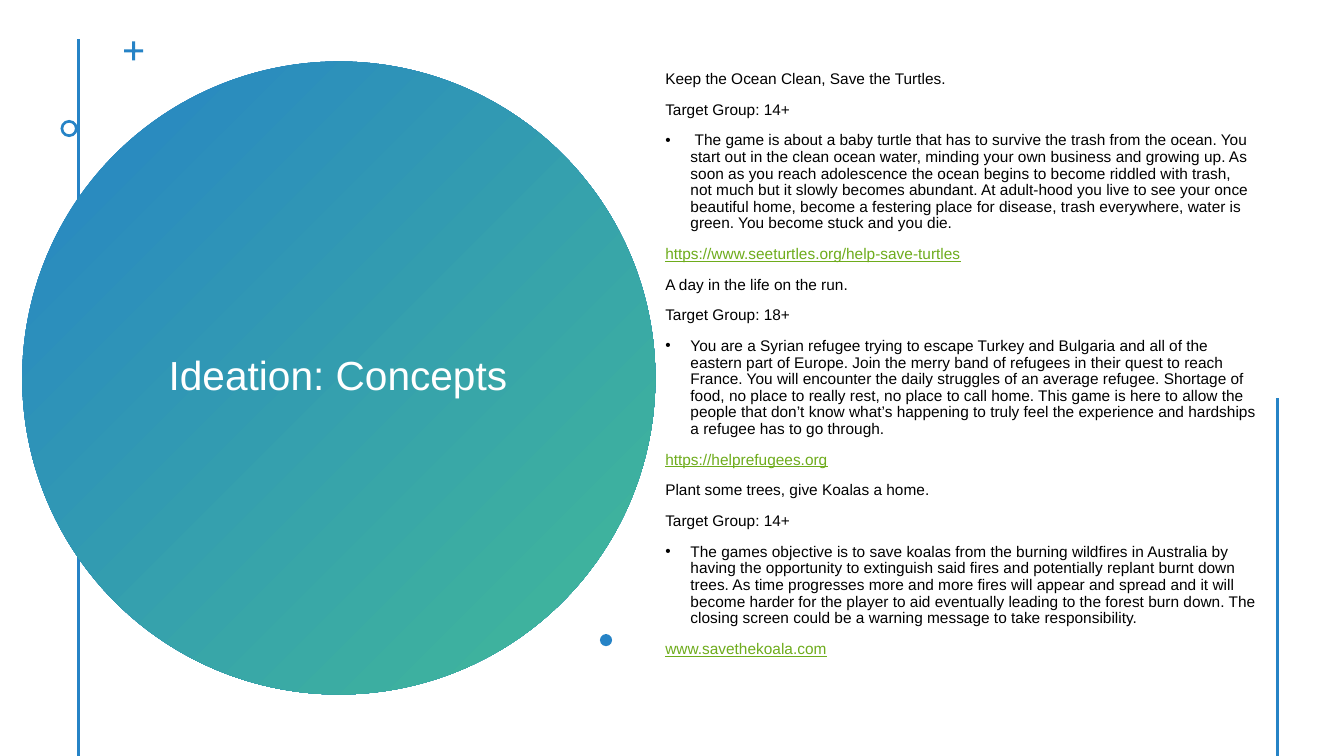
import pptx
import pptx.util
import pptx.dml.color
import pptx.enum.shapes
import pptx.enum.text
import pptx.oxml.ns
import lxml.etree

RGBColor = pptx.dml.color.RGBColor
BLUE = RGBColor(0x26, 0x83, 0xC6)
TEAL = RGBColor(0x42, 0xBA, 0x97)
GREEN = RGBColor(0x6E, 0xAC, 0x1C)
BLACK = RGBColor(0, 0, 0)
WHITE = RGBColor(0xFF, 0xFF, 0xFF)
FONT = "Arial"
SHAPES = pptx.enum.shapes.MSO_SHAPE

TITLE = "Ideation: Concepts"
CONCEPTS = [
    ("Keep the Ocean Clean, Save the Turtles.", "Target Group: 14+",
     "\N{NO-BREAK SPACE}The game is about a baby turtle that has to survive the trash from the ocean. "
     "You start out in the clean ocean water, minding your own business and growing up. "
     "As soon as you reach adolescence the ocean begins to become riddled with trash, "
     "not much but it slowly becomes abundant. At adult-hood you live to see your once "
     "beautiful home, become a festering place for disease, trash everywhere, water is "
     "green. You become stuck and you die.",
     "https://www.seeturtles.org/help-save-turtles"),
    ("A day in the life on the run.", "Target Group: 18+",
     "You are a Syrian refugee trying to escape Turkey and Bulgaria and all of the "
     "eastern part of Europe. Join the merry band of refugees in their quest to reach "
     "France. You will encounter the daily struggles of an average refugee. Shortage of "
     "food, no place to really rest, no place to call home. This game is here to allow "
     "the people that don’t know what’s happening to truly feel the experience and "
     "hardships a refugee has to go through.",
     "https://helprefugees.org"),
    ("Plant some trees, give Koalas a home.", "Target Group: 14+",
     "The games objective is to save koalas from the burning wildfires in Australia by "
     "having the opportunity to extinguish said fires and potentially replant burnt down "
     "trees. As time progresses more and more fires will appear and spread and it will "
     "become harder for the player to aid eventually leading to the forest burn down. "
     "The closing screen could be a warning message to take responsibility.",
     "www.savethekoala.com"),
]

# Left, top, width and height in percent of the slide
CIRCLE_AREA = (1.65, 8.13, 47.11, 83.73)
TITLE_AREA = (10.2, 18.8, 29.93, 62.27)
PLUS_AREA = (9.23, 5.47, 1.43, 2.53)
RING_AREA = (4.5, 15.87, 1.28, 2.27)
BODY_AREA = (48.76, 3.73, 45.54, 88.93)
DOT_AREA = (44.64, 83.87, 0.9, 1.6)
LEFT_RULE = (5.85, 5.2)
RIGHT_RULE = (95.05, 52.67)

deck = pptx.Presentation()
deck.slide_width = pptx.util.Inches(13.33)
deck.slide_height = pptx.util.Inches(7.5)
page = deck.slides.add_slide(deck.slide_layouts[6])


def across(share):
    return round(deck.slide_width * share / 100)


def down(share):
    return round(deck.slide_height * share / 100)


def place(area):
    left, top, width, height = area
    return across(left), down(top), across(width), down(height)


def add_rule(column, top):
    rule = page.shapes.add_connector(
        pptx.enum.shapes.MSO_CONNECTOR.STRAIGHT,
        across(column), down(top), across(column), down(100))
    rule.line.color.rgb = BLUE
    rule.line.width = pptx.util.Pt(2)
    properties = rule.line._get_or_add_ln().getparent()
    lxml.etree.SubElement(properties, pptx.oxml.ns.qn("a:effectLst"))


def add_mark(kind, area, thickness=None):
    mark = page.shapes.add_shape(kind, *place(area))
    mark.shadow.inherit = False
    mark.line.fill.background()
    mark.fill.solid()
    mark.fill.fore_color.rgb = BLUE
    if thickness is not None:
        mark.adjustments[0] = thickness
    return mark


def add_text_box(area):
    box = page.shapes.add_textbox(*place(area))
    box.text_frame.word_wrap = True
    box.text_frame.vertical_anchor = pptx.enum.text.MSO_ANCHOR.MIDDLE
    return box.text_frame


def style(para, size, color, underline=False):
    para.line_spacing = 0.9
    for span in para.runs:
        span.font.name = FONT
        span.font.size = pptx.util.Pt(size)
        span.font.color.rgb = color
        if underline:
            span.font.underline = True


def add_bullet(para):
    properties = para._p.get_or_add_pPr()
    indent = pptx.util.Inches(0.25)
    properties.set("marL", str(indent))
    properties.set("indent", str(-indent))
    bullet_font = lxml.etree.SubElement(properties, pptx.oxml.ns.qn("a:buFont"))
    bullet_font.set("typeface", FONT)
    bullet = lxml.etree.SubElement(properties, pptx.oxml.ns.qn("a:buChar"))
    bullet.set("char", "•")


add_rule(*LEFT_RULE)

circle = add_mark(SHAPES.OVAL, CIRCLE_AREA)
circle.fill.gradient()
circle.fill.gradient_angle = 315
for stop, color, position in zip(circle.fill.gradient_stops, (BLUE, TEAL), (0, 1)):
    stop.color.rgb = color
    stop.position = position

heading = add_text_box(TITLE_AREA)
heading.text = TITLE
heading.paragraphs[0].alignment = pptx.enum.text.PP_ALIGN.CENTER
style(heading.paragraphs[0], 29, WHITE)

add_mark(SHAPES.CROSS, PLUS_AREA, 0.42)
add_mark(SHAPES.DONUT, RING_AREA, 0.16)

body = add_text_box(BODY_AREA)
body.text = "\n".join(line for concept in CONCEPTS for line in concept)
for number, para in enumerate(body.paragraphs):
    part = number % 4
    if part == 2:
        add_bullet(para)
    is_address = part == 3
    style(para, 11, GREEN if is_address else BLACK, is_address)
    if number:
        para.space_before = pptx.util.Pt(10)

add_mark(SHAPES.OVAL, DOT_AREA)
add_rule(*RIGHT_RULE)

deck.save("out.pptx")
